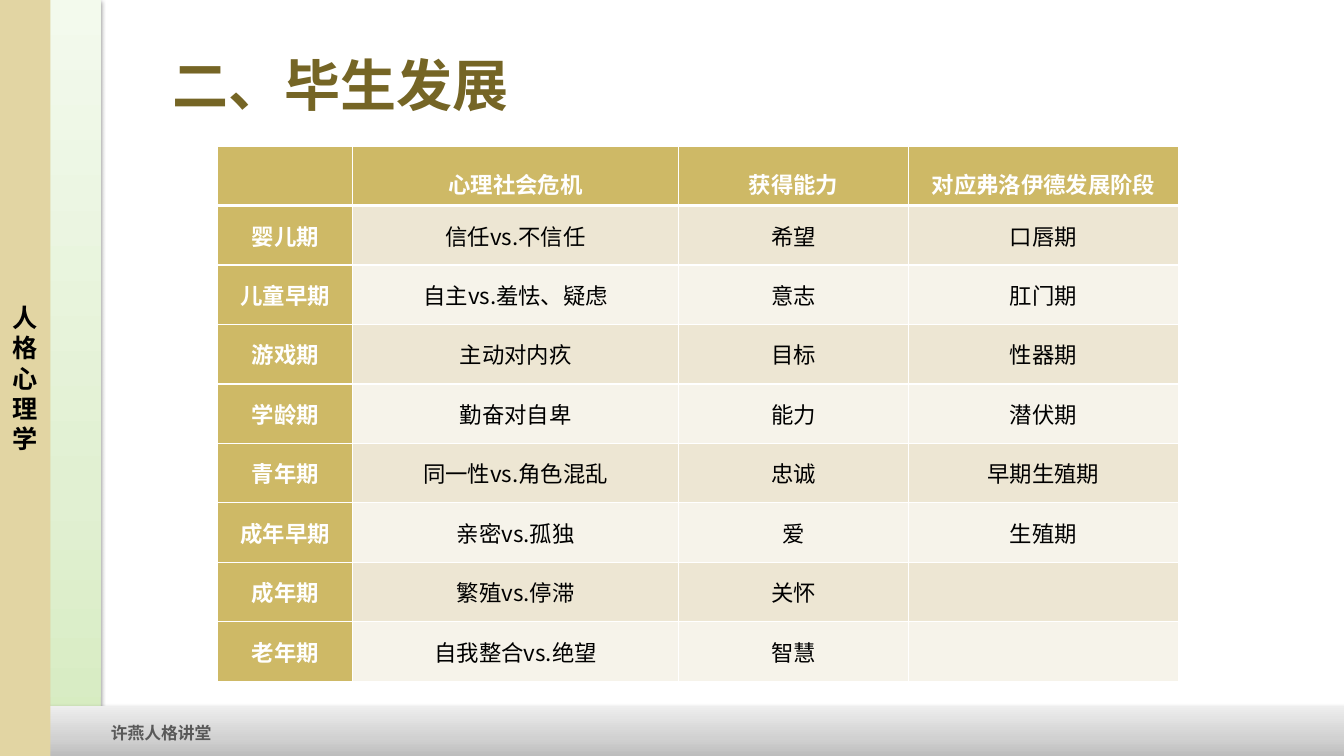
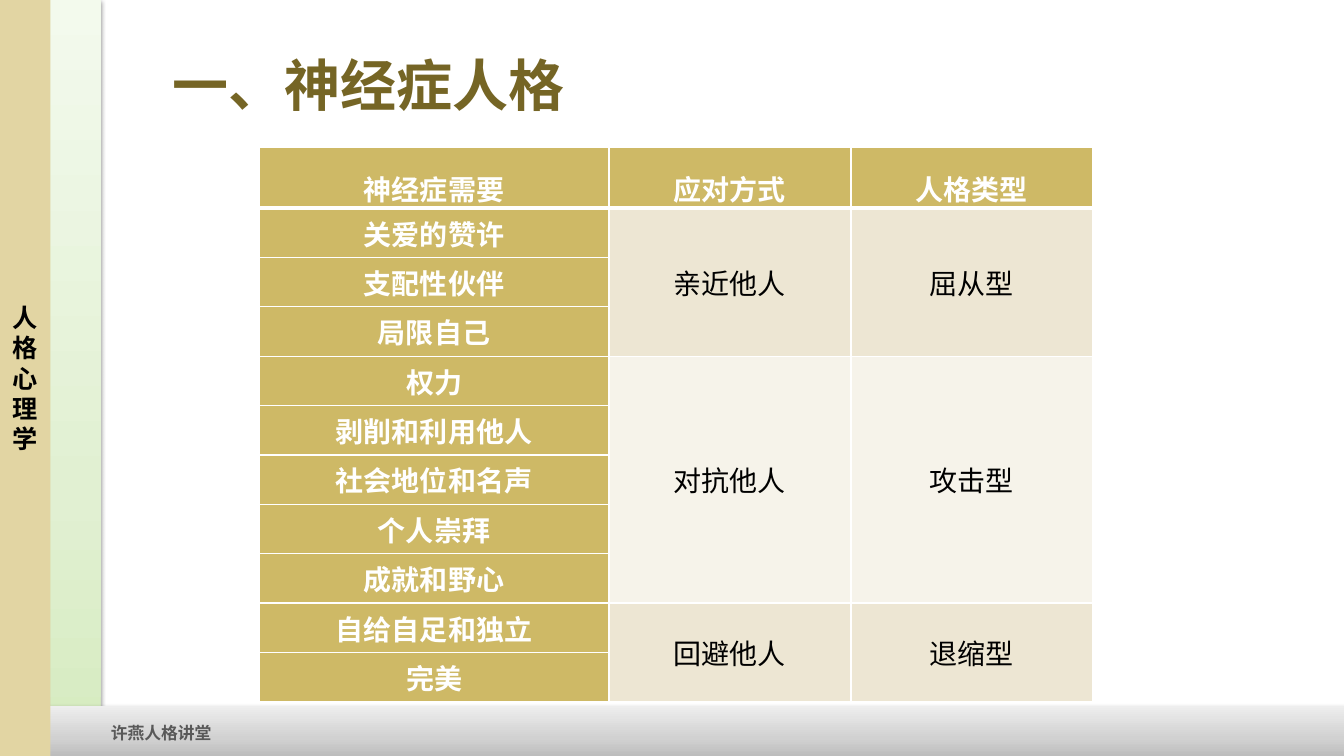
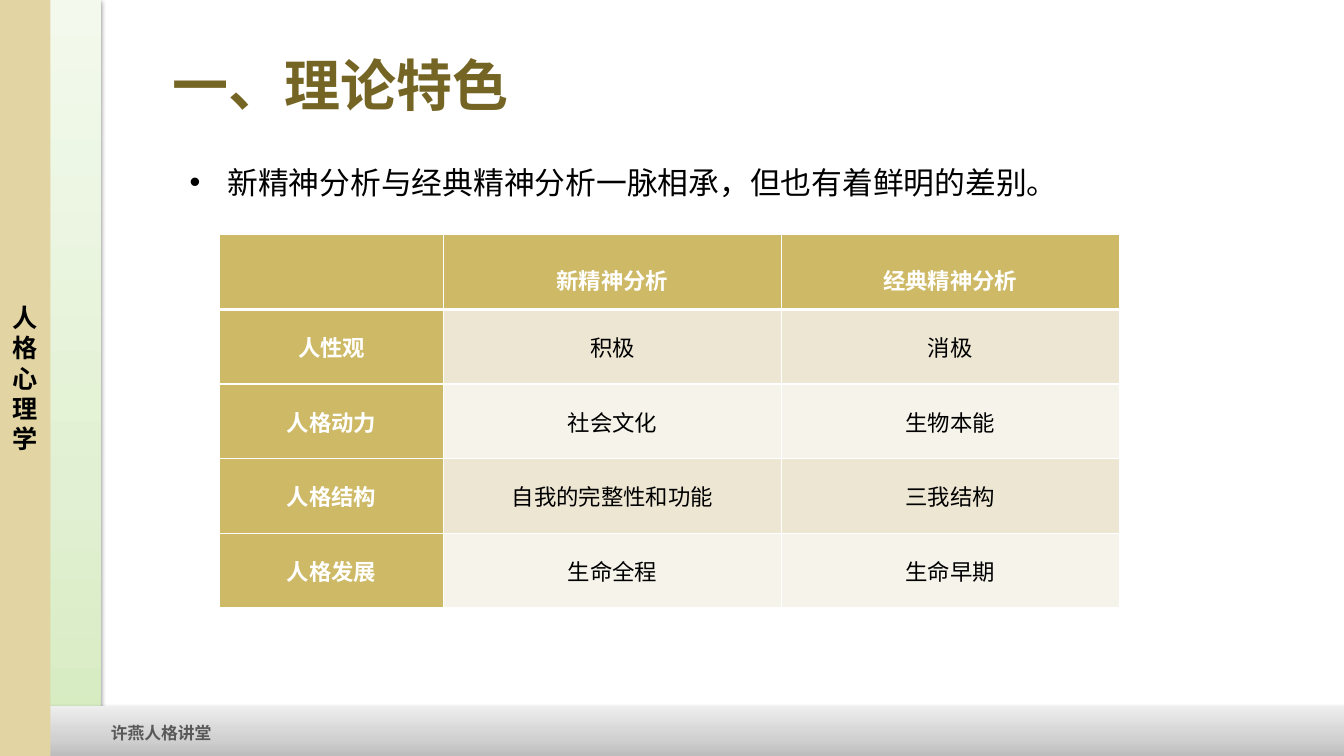
from pptx import Presentation
from pptx import oxml
from pptx.dml.color import RGBColor
from pptx.enum import shapes, text
from pptx.oxml import ns
from pptx.util import Inches, Pt

CJK_FONT = "Noto Sans CJK SC"
BLACK = RGBColor(0x00, 0x00, 0x00)
WHITE = RGBColor(0xFF, 0xFF, 0xFF)
GRAY = RGBColor(0x59, 0x59, 0x59)
OLIVE = RGBColor(0x75, 0x65, 0x25)
GOLD = RGBColor(0xCE, 0xB9, 0x66)
SAND = RGBColor(0xE2, 0xD5, 0xA3)
BANDS = [RGBColor(0xED, 0xE6, 0xD3), RGBColor(0xF6, 0xF3, 0xEA)]
GREENS = [RGBColor(0xD5, 0xEB, 0xBF), RGBColor(0xE1, 0xF0, 0xD2), RGBColor(0xF3, 0xFA, 0xED)]
GRAYS = [RGBColor(0xBD, 0xBD, 0xBD), RGBColor(0xD1, 0xD1, 0xD1), RGBColor(0xEE, 0xEE, 0xEE)]


def write(frame, words, size, color=BLACK, bold=False, align=text.PP_ALIGN.LEFT,
          spacing=None, font=CJK_FONT):
    para = frame.paragraphs[0]
    para.alignment = align
    para.line_spacing = spacing
    span = para.add_run()
    span.text = words
    span.font.size = Pt(size)
    span.font.bold = bold
    span.font.color.rgb = color
    span.font.name = font
    east_asian = oxml.parse_xml(f'<a:ea {ns.nsdecls("a")} typeface="{CJK_FONT}"/>')
    span.font._element.find(ns.qn("a:latin")).addnext(east_asian)


def add_borders(cell, **widths):
    """Draw white edges; the keys L, R, T and B give widths in points."""
    properties = cell._tc.get_or_add_tcPr()
    for side in "LRTB":
        properties.append(oxml.parse_xml(
            f'<a:ln{side} {ns.nsdecls("a")} w="{Pt(widths.get(side, 1))}">'
            f'<a:solidFill><a:srgbClr val="{WHITE}"/></a:solidFill></a:ln{side}>'))


SLIDES = [
    dict(title="二、毕生发展", place=(2.16, 1.45), columns=[1.34, 3.23, 2.28, 2.68],
         header_height=0.59, row_height=0.59, size=16, margin=0.07, font=CJK_FONT,
         rows=[
             ["", "心理社会危机", "获得能力", "对应弗洛伊德发展阶段"],
             ["婴儿期", "信任vs.不信任", "希望", "口唇期"],
             ["儿童早期", "自主vs.羞怯、疑虑", "意志", "肛门期"],
             ["游戏期", "主动对内疚", "目标", "性器期"],
             ["学龄期", "勤奋对自卑", "能力", "潜伏期"],
             ["青年期", "同一性vs.角色混乱", "忠诚", "早期生殖期"],
             ["成年早期", "亲密vs.孤独", "爱", "生殖期"],
             ["成年期", "繁殖vs.停滞", "关怀", ""],
             ["老年期", "自我整合vs.绝望", "智慧", ""],
         ]),
    # A row with a single entry continues the merged cells above it.
    dict(title="一、神经症人格", place=(2.57, 1.46), columns=[3.47, 2.4, 2.4],
         header_height=0.59, row_height=0.49, size=20, margin=0.08, font="Lato",
         rows=[
             ["神经症需要", "应对方式", "人格类型"],
             ["关爱的赞许", "亲近他人", "屈从型"],
             ["支配性伙伴"],
             ["局限自己"],
             ["权力", "对抗他人", "攻击型"],
             ["剥削和利用他人"],
             ["社会地位和名声"],
             ["个人崇拜"],
             ["成就和野心"],
             ["自给自足和独立", "回避他人", "退缩型"],
             ["完美"],
         ]),
    dict(title="一、理论特色", place=(2.18, 2.33), columns=[2.22, 3.35, 3.35],
         header_height=0.74, row_height=0.74, size=16, margin=0.07, font=CJK_FONT,
         body="新精神分析与经典精神分析一脉相承，但也有着鲜明的差别。",
         rows=[
             ["", "新精神分析", "经典精神分析"],
             ["人性观", "积极", "消极"],
             ["人格动力", "社会文化", "生物本能"],
             ["人格结构", "自我的完整性和功能", "三我结构"],
             ["人格发展", "生命全程", "生命早期"],
         ]),
]

deck = Presentation()
deck.slide_width = Inches(13.33)
deck.slide_height = Inches(7.5)
content_layout, title_layout = deck.slide_layouts[1], deck.slide_layouts[5]

for page_data in SLIDES:
    page = deck.slides.add_slide(content_layout if "body" in page_data else title_layout)
    title = page.shapes.title
    title.left, title.top = Inches(1.61), Inches(0.21)
    title.width, title.height = Inches(10.65), Inches(1.25)
    write(title.text_frame, page_data["title"], 40, color=OLIVE, bold=True, font="Arial")

    if "body" in page_data:
        body = page.placeholders[1]
        body.left, body.top = Inches(1.78), Inches(1.46)
        body.width, body.height = Inches(10.85), Inches(0.72)
        body.text_frame.auto_size = text.MSO_AUTO_SIZE.NONE
        write(body.text_frame, page_data["body"], 22, spacing=1.3)

    rows, columns = page_data["rows"], page_data["columns"]
    heights = [page_data["header_height"]] + [page_data["row_height"]] * (len(rows) - 1)
    left, top = page_data["place"]
    table = page.shapes.add_table(len(rows), len(columns), Inches(left), Inches(top),
                                  Inches(sum(columns)), Inches(sum(heights))).table
    table.first_row = table.horz_banding = False
    for column, width in zip(table.columns, columns):
        column.width = Inches(width)

    group_starts = [r for r, row in enumerate(rows) if len(row) > 1]
    group = -1
    for r, row in enumerate(rows):
        table.rows[r].height = Inches(heights[r])
        group += r in group_starts
        for c in range(len(columns)):
            cell = table.cell(r, c)
            is_header = r == 0 or c == 0
            add_borders(cell, T=3 if r == 1 else 1, B=3 if r == 0 else 1)
            cell.fill.solid()
            cell.fill.fore_color.rgb = GOLD if is_header else BANDS[(group - 1) % 2]
            cell.vertical_anchor = text.MSO_ANCHOR.MIDDLE
            cell.margin_left = cell.margin_right = Inches(page_data["margin"])
            cell.margin_top = cell.margin_bottom = 0
            if c < len(row) and row[c]:
                write(cell.text_frame, row[c], page_data["size"],
                      color=WHITE if is_header else BLACK, bold=is_header,
                      align=text.PP_ALIGN.CENTER, spacing=1.5 if r == 0 else None,
                      font=CJK_FONT if is_header else page_data["font"])

    for start, following in zip(group_starts, group_starts[1:] + [len(rows)]):
        if following - start > 1:
            for c in range(1, len(columns)):
                table.cell(start, c).merge(table.cell(following - 1, c))

# Bands and footer are built on a slide, then moved to the master for all slides.
builder = deck.slides[0].shapes
shared = []
for left, top, width, height, colors in [(0.5, 0, 0.5, 7.5, GREENS), (0, 7, 13.33, 0.5, GRAYS)]:
    band = builder.add_shape(shapes.MSO_SHAPE.RECTANGLE, Inches(left), Inches(top),
                             Inches(width), Inches(height))
    band.line.fill.background()
    stops = "".join(f'<a:gs pos="{position}"><a:srgbClr val="{color}"/></a:gs>'
                    for position, color in zip((0, 35000, 100000), colors))
    outline = band.element.spPr.find(ns.qn("a:ln"))
    outline.addprevious(oxml.parse_xml(
        f'<a:gradFill {ns.nsdecls("a")}><a:gsLst>{stops}</a:gsLst>'
        '<a:lin ang="16200000" scaled="0"/></a:gradFill>'))
    outline.addnext(oxml.parse_xml(
        f'<a:effectLst {ns.nsdecls("a")}><a:outerShdw blurRad="40000" dist="20000" '
        'dir="5400000" rotWithShape="0"><a:srgbClr val="000000"><a:alpha val="38000"/>'
        '</a:srgbClr></a:outerShdw></a:effectLst>'))
    shared.append(band)

course_band = builder.add_shape(shapes.MSO_SHAPE.RECTANGLE, 0, 0, Inches(0.5), Inches(7.5))
course_band.shadow.inherit = False
course_band.fill.solid()
course_band.fill.fore_color.rgb = SAND
course_band.line.fill.background()
course_band.text_frame.word_wrap = True
course_band.text_frame.vertical_anchor = text.MSO_ANCHOR.MIDDLE
write(course_band.text_frame, "人格心理学", 18, bold=True, align=text.PP_ALIGN.CENTER)

footer = builder.add_textbox(Inches(1), Inches(7.12), Inches(1.21), Inches(0.3))
footer.text_frame.word_wrap = False
footer.text_frame.auto_size = text.MSO_AUTO_SIZE.SHAPE_TO_FIT_TEXT
write(footer.text_frame, "许燕人格讲堂", 12, color=GRAY, bold=True)
shared += [course_band, footer]

master_tree = deck.slide_master.element.cSld.spTree
for index, shape in enumerate(shared):
    shape.element.nvSpPr.cNvPr.set("id", str(20 + index))
    master_tree.insert(2 + index, shape.element)

deck.save("out.pptx")
